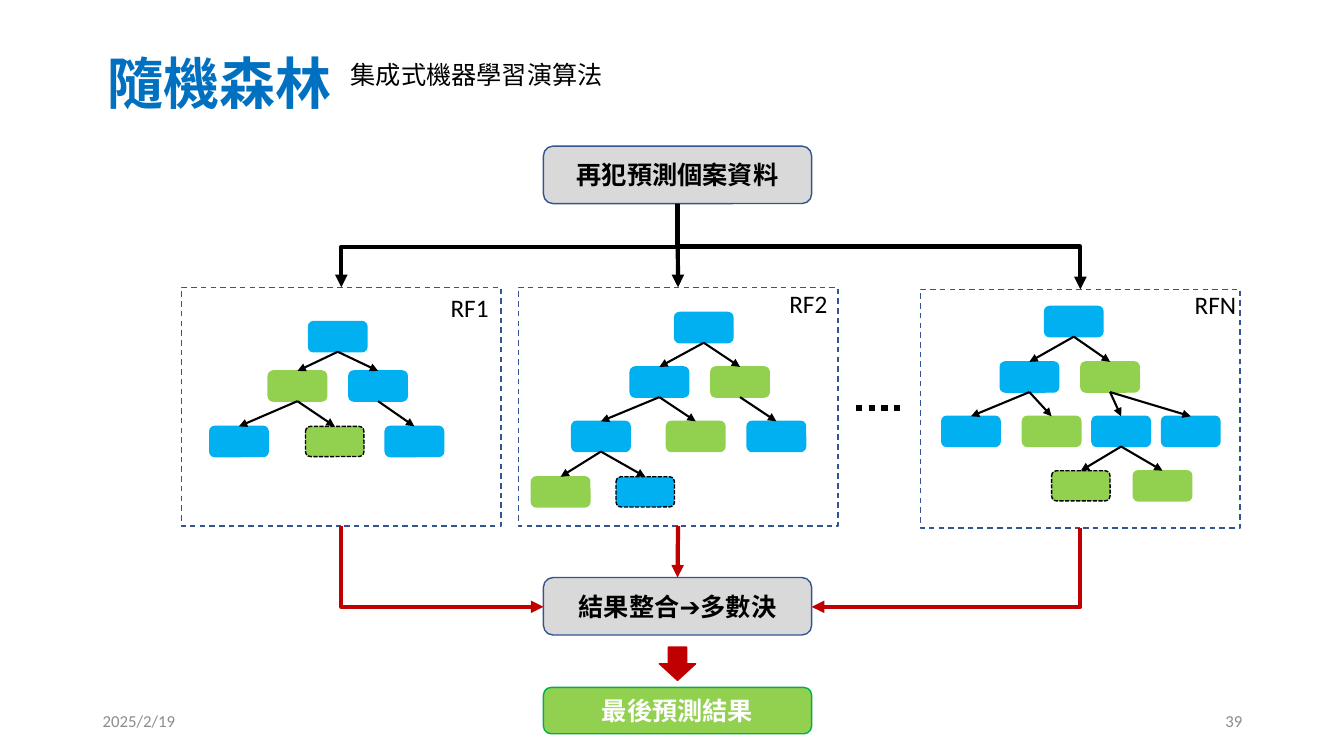
from dataclasses import dataclass
from typing import NamedTuple, Optional

from lxml import etree
from pptx import Presentation
from pptx import util as u
from pptx.dml.color import RGBColor
from pptx.enum import dml, shapes, text
from pptx.oxml import ns

BLUE = RGBColor(0x00, 0xB0, 0xF0)
LIME = RGBColor(0x92, 0xD0, 0x50)
GREEN = RGBColor(0x00, 0xB0, 0x50)
RED = RGBColor(0xC0, 0x00, 0x00)
NAVY = RGBColor(0x32, 0x54, 0x91)
TITLE_BLUE = RGBColor(0x00, 0x70, 0xC0)
GREY = RGBColor(0xD9, 0xD9, 0xD9)
FOOTER_GREY = RGBColor(0x8C, 0x8C, 0x8C)
BLACK = RGBColor(0, 0, 0)
WHITE = RGBColor(255, 255, 255)

CJK, LATIN = "Noto Sans CJK SC", "Calibri"
NODE_W, NODE_H = 0.58, 0.3
FRAME_W, FRAME_H = 3.17, 2.37
STEP_X, STEP_W = 5.39, 2.66
MID_X = STEP_X + STEP_W / 2
KIND, DASH, ALIGN = shapes.MSO_SHAPE, dml.MSO_LINE, text.PP_ALIGN


class Point(NamedTuple):
    x: float
    y: float


class Box(NamedTuple):
    x: float
    y: float
    w: float
    h: float


class Node(NamedTuple):
    x: float
    level: int
    color: RGBColor
    parent: Optional[int] = None
    chosen: bool = False


@dataclass
class Tree:
    label: str
    label_at: Box
    frame: Point
    levels: list[float]
    nodes: list[Node]


@dataclass
class Label:
    words: str
    box: Box
    size: int = 18
    color: RGBColor = BLACK
    font: str = LATIN
    bold: bool = False
    align: Optional[text.PP_ALIGN] = None
    anchor: text.MSO_ANCHOR = text.MSO_ANCHOR.TOP
    wrap: bool = True


TREES = [
    Tree("RF1", Box(4.37, 2.85, 0.58, 0.4), Point(1.8, 2.85), [3.19, 3.68, 4.23], [
        Node(3.06, 0, BLUE),
        Node(2.66, 1, LIME, 0), Node(3.46, 1, BLUE, 0),
        Node(2.08, 2, BLUE, 1), Node(3.03, 2, LIME, 1, True), Node(3.82, 2, BLUE, 2),
    ]),
    Tree("RF2", Box(7.73, 2.81, 0.58, 0.4), Point(5.14, 2.85), [3.1, 3.64, 4.18, 4.73], [
        Node(6.69, 0, BLUE),
        Node(6.25, 1, BLUE, 0), Node(7.05, 1, LIME, 0),
        Node(5.67, 2, BLUE, 1), Node(6.61, 2, LIME, 1), Node(7.41, 2, BLUE, 2),
        Node(5.27, 3, LIME, 3), Node(6.11, 3, BLUE, 3, True),
    ]),
    Tree("RFN", Box(11.75, 2.82, 0.62, 0.4), Point(9.13, 2.87), [3.04, 3.59, 4.13, 4.67], [
        Node(10.36, 0, BLUE),
        Node(9.92, 1, BLUE, 0), Node(10.72, 1, LIME, 0),
        Node(9.34, 2, BLUE, 1), Node(10.14, 2, LIME, 1),
        Node(10.83, 2, BLUE, 2), Node(11.52, 2, BLUE, 2),
        Node(10.43, 3, LIME, 5, True), Node(11.24, 3, LIME, 5),
    ]),
]


def write(tf, label: Label) -> None:
    tf.word_wrap = label.wrap
    tf.vertical_anchor = label.anchor
    p = tf.paragraphs[0]
    p.text = label.words
    p.alignment = label.align
    f = p.font
    f.size, f.bold, f.name = u.Pt(label.size), label.bold, label.font
    f.color.rgb = label.color
    latin = p._p.pPr.find(".//" + ns.qn("a:latin"))
    ea = etree.Element(ns.qn("a:ea"), typeface=CJK)
    latin.addnext(ea)


def add_text(slide, label: Label) -> None:
    sp = slide.shapes.add_textbox(*map(u.Inches, label.box))
    write(sp.text_frame, label)


def add_box(slide, kind: KIND, box: Box, fill: Optional[RGBColor], line: RGBColor,
            dash: Optional[DASH] = None):
    sp = slide.shapes.add_shape(kind, *map(u.Inches, box))
    sp.shadow.inherit = False
    if fill is None:
        sp.fill.background()
    else:
        sp.fill.solid()
        sp.fill.fore_color.rgb = fill
    sp.line.color.rgb = line
    sp.line.width = u.Pt(1)
    sp.line.dash_style = dash
    return sp


def add_line(slide, kind: shapes.MSO_CONNECTOR, start: Point, end: Point, color: RGBColor,
             width: float, arrow: bool = True):
    c = slide.shapes.add_connector(kind, *map(u.Inches, (*start, *end)))
    c.line.color.rgb = color
    c.line.width = u.Pt(width)
    if arrow:
        etree.SubElement(c.line._get_or_add_ln(), ns.qn("a:tailEnd"), type="triangle")
    etree.SubElement(c.element.spPr, ns.qn("a:effectLst"))
    return c


def join(slide, upper, lower, color: RGBColor, width: float) -> None:
    """Arrow from the bottom of one shape to the top of another."""
    c = add_line(slide, shapes.MSO_CONNECTOR.STRAIGHT, Point(0, 0), Point(1, 1), color, width)
    c.begin_connect(upper, 2)
    c.end_connect(lower, 0)


def add_elbow(slide, start: Point, end: Point, color: RGBColor, preset: str,
              bend: Optional[int] = None) -> None:
    """Bent arrow that leaves downwards: its box is turned a quarter about its centre."""
    w, h = end.y - start.y, abs(end.x - start.x)
    x, y = (start.x + end.x - w) / 2, (start.y + end.y - h) / 2
    c = add_line(slide, shapes.MSO_CONNECTOR.ELBOW, Point(x, y), Point(x + w, y + h), color, 3)
    xfrm = c.element.spPr.find(ns.qn("a:xfrm"))
    leftwards = end.x < start.x
    xfrm.set("rot", str((90 if leftwards else 270) * 60000))
    if not leftwards:
        xfrm.set("flipH", "1")
    geom = c.element.spPr.find(ns.qn("a:prstGeom"))
    geom.set("prst", preset)
    if bend:
        etree.SubElement(geom.find(ns.qn("a:avLst")), ns.qn("a:gd"), name="adj1", fmla=f"val {bend}")


def add_tree(slide, tree: Tree):
    drawn = []
    for n in tree.nodes:
        sp = add_box(slide, KIND.ROUNDED_RECTANGLE, Box(n.x, tree.levels[n.level], NODE_W, NODE_H),
                     n.color, BLACK if n.chosen else n.color, DASH.SQUARE_DOT if n.chosen else None)
        drawn.append(sp)
        if n.parent is not None:
            join(slide, drawn[n.parent], sp, BLACK, 1.5)
    add_text(slide, Label(tree.label, tree.label_at, wrap=False))
    return add_box(slide, KIND.RECTANGLE, Box(*tree.frame, FRAME_W, FRAME_H), None, NAVY, DASH.DASH)


def add_step(slide, words: str, y: float, h: float, fill: RGBColor, line: RGBColor, color: RGBColor):
    box = Box(STEP_X, y, STEP_W, h)
    sp = add_box(slide, KIND.ROUNDED_RECTANGLE, box, fill, line)
    write(sp.text_frame, Label(words, box, 18, color, CJK, True, ALIGN.CENTER, text.MSO_ANCHOR.MIDDLE))
    return sp


def main() -> None:
    prs = Presentation()
    prs.slide_width, prs.slide_height = u.Inches(13.33), u.Inches(7.5)
    s = prs.slides.add_slide(prs.slide_layouts[6])

    # Heading and footer
    middle = text.MSO_ANCHOR.MIDDLE
    add_text(s, Label("隨機森林", Box(0.97, 0.09, 11.5, 1.45), 40, TITLE_BLUE, CJK, True, anchor=middle))
    add_text(s, Label("集成式機器學習演算法", Box(3.38, 0.54, 6.67, 0.4)))
    add_text(s, Label("2025/2/19", Box(0.92, 6.95, 3, 0.4), 12, FOOTER_GREY, anchor=middle))
    add_text(s, Label("39", Box(9.42, 6.95, 3, 0.4), 12, FOOTER_GREY, align=ALIGN.RIGHT, anchor=middle))

    # Trees and the steps around them
    frames = [add_tree(s, tree) for tree in TREES]
    add_line(s, shapes.MSO_CONNECTOR.STRAIGHT, Point(8.49, 4.05), Point(8.97, 4.05), BLACK, 4.5,
             arrow=False).line.dash_style = DASH.ROUND_DOT
    data = add_step(s, "再犯預測個案資料", 1.45, 0.57, GREY, NAVY, BLACK)
    vote = add_step(s, "結果整合➔多數決", 5.73, 0.57, GREY, NAVY, BLACK)
    add_step(s, "最後預測結果", 6.82, 0.46, LIME, GREEN, WHITE)
    add_box(s, KIND.DOWN_ARROW, Box(6.54, 6.42, 0.36, 0.33), RED, RED)

    # Flow through the trees
    join(s, data, frames[1], BLACK, 3)
    join(s, frames[1], vote, RED, 3)
    for tree, side_x, bend in ((TREES[0], STEP_X, 51600), (TREES[2], STEP_X + STEP_W, None)):
        x, y = tree.frame.x + FRAME_W / 2, tree.frame.y
        add_elbow(s, Point(MID_X, 2.02), Point(x, y), BLACK, "bentConnector3", bend)
        add_elbow(s, Point(x, y + FRAME_H), Point(side_x, 6.02), RED, "bentConnector2")

    prs.save("out.pptx")


if __name__ == "__main__":
    main()
